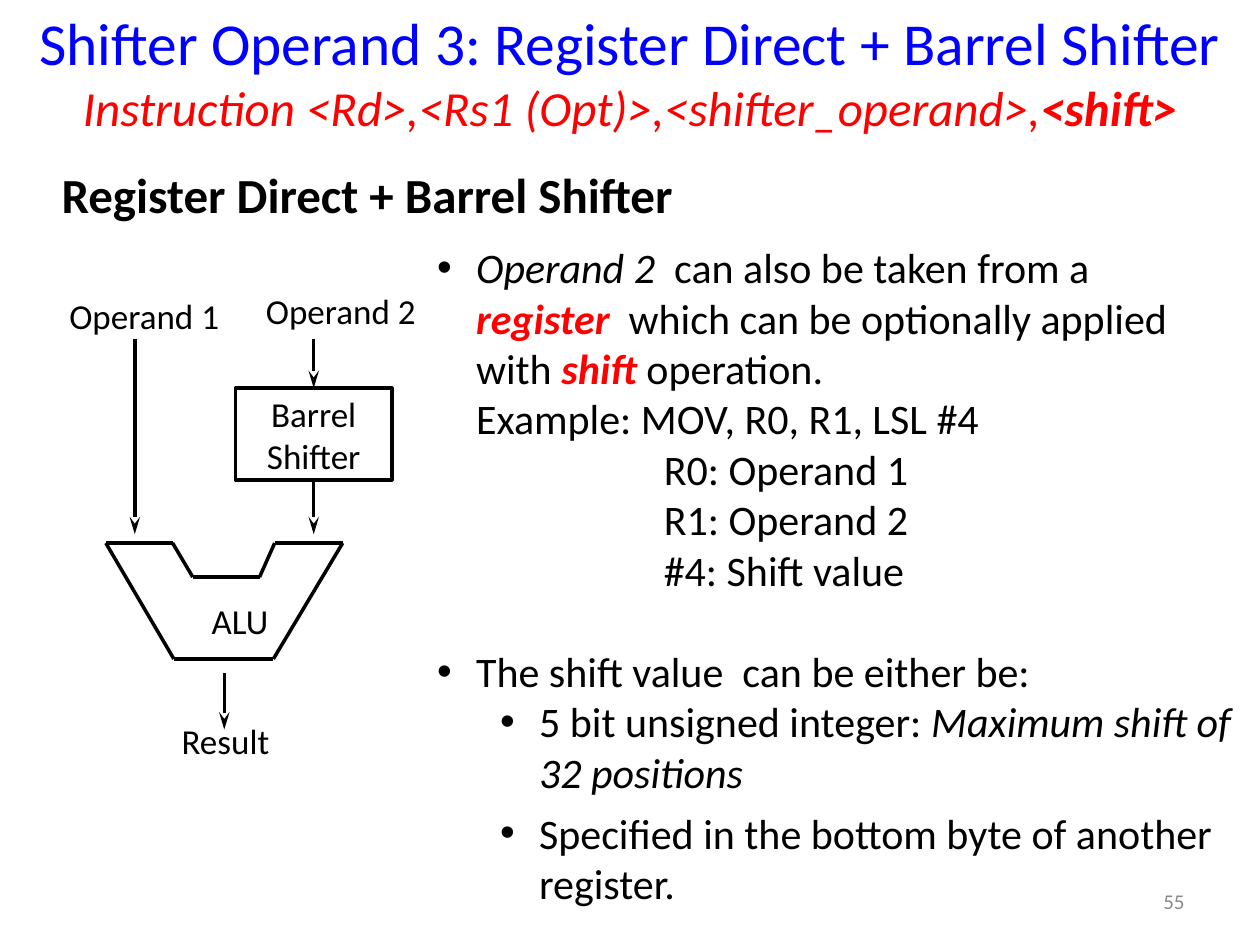
from pptx import Presentation
from pptx.dml.color import RGBColor
from pptx.enum.shapes import MSO_CONNECTOR, MSO_SHAPE
from pptx.enum.text import MSO_ANCHOR, PP_ALIGN
from pptx.oxml.ns import qn
from pptx.util import Inches, Pt
from lxml.etree import SubElement

COLORS = {"black": "000000", "red": "FF0000", "blue": "0000FF", "grey": "898989"}

# Content: a run is (text, style letters), b bold, i italic, r red
TITLE = "Shifter Operand 3: Register Direct + Barrel Shifter"
SYNTAX = [("Instruction <Rd>,<Rs1 (Opt)>,<shifter_operand>,", "ir"), ("<shift>", "bir")]
HEADING = "Register Direct + Barrel Shifter"
PAGE_NUMBER = "55"

# Levels: left margin in inches, bullet or not
LEVELS = {"point": (0.31, True), "subpoint": (0.81, True),
          "example": (0.31, False), "detail": (1.8, False)}
BULLET_HANG = 0.31
# Body: level, space before in points, runs
BODY = [
    ("point", 0, [("Operand 2  ", "i"), ("can also be taken from a ", ""),
                  ("register  ", "bir"), ("which can be optionally applied with ", ""),
                  ("shift ", "bir"), ("operation.", "")]),
    ("example", 0, [("Example: MOV, R0, R1, LSL #4", "")]),
    ("detail", 0, [("R0: Operand 1", "")]),
    ("detail", 0, [("R1: Operand 2", "")]),
    ("detail", 0, [("#4: Shift value", "")]),
    ("point", 29, [("The shift value  can be either be:", "")]),
    ("subpoint", 0, [("5 bit unsigned integer: ", ""),
                     ("Maximum shift of 32 positions", "i")]),
    ("subpoint", 6, [("Specified in the bottom byte of another register.", "")]),
]

# Diagram, in inches
LABELS = [("Operand 1", 0.28, 2.29, 1.73), ("Operand 2", 1.66, 2.25, 2.09),
          ("ALU", 1.44, 4.71, 0.93), ("Result", 1.21, 5.66, 1.16)]
SHIFTER = (1.87, 3.08, 1.24, 0.73)
ALU_CORNERS = [(0.84, 4.31), (1.37, 4.31), (1.53, 4.58), (2.06, 4.58),
               (2.18, 4.31), (2.72, 4.31), (2.17, 5.23), (1.38, 5.23)]
OPERAND_1_X, OPERAND_2_X, RESULT_X = 1.07, SHIFTER[0] + SHIFTER[2] / 2, 1.78
OPERANDS_Y, ALU_INPUT_Y = 2.69, 4.24

presentation = Presentation()
presentation.slide_width, presentation.slide_height = Inches(10), Inches(7.5)
slide = presentation.slides.add_slide(presentation.slide_layouts[6])


def color(name):
    return RGBColor.from_string(COLORS[name])


def style(paragraph, size, name="black", align=PP_ALIGN.LEFT):
    paragraph.alignment = align
    font = paragraph.font
    font.name, font.size, font.color.rgb = "Calibri", Pt(size), color(name)


def add_runs(paragraph, runs):
    for text, flags in runs:
        run = paragraph.add_run()
        run.text = text
        if "b" in flags:
            run.font.bold = True
        if "i" in flags:
            run.font.italic = True
        if "r" in flags:
            run.font.color.rgb = color("red")


def add_box(left, top, width, height):
    frame = slide.shapes.add_textbox(*map(Inches, (left, top, width, height))).text_frame
    frame.word_wrap = True
    return frame


def set_line(shape):
    shape.line.color.rgb = color("black")
    shape.line.width = Pt(2)


def add_line(start, end):
    line = slide.shapes.add_connector(MSO_CONNECTOR.STRAIGHT, *map(Inches, start + end))
    set_line(line)
    SubElement(line._element.spPr, qn("a:effectLst"))
    return line


def add_arrow(x, start_y, end_y):
    arrow = add_line((x, start_y), (x, end_y))
    SubElement(arrow._element.spPr.find(qn("a:ln")), qn("a:tailEnd"),
               type="stealth", w="med", len="lg")
    return arrow


def set_indent(paragraph, level):
    margin, bulleted = LEVELS[level]
    properties = paragraph._p.get_or_add_pPr()
    properties.set("marL", str(Inches(margin)))
    properties.set("indent", str(Inches(-BULLET_HANG if bulleted else 0)))
    if bulleted:
        SubElement(properties, qn("a:buFont"), typeface="Arial")
        SubElement(properties, qn("a:buChar"), char="•")
    else:
        SubElement(properties, qn("a:buNone"))


# Diagram labels
for text, left, top, width in LABELS:
    paragraph = add_box(left, top, width, 0.44).paragraphs[0]
    paragraph.text = text
    style(paragraph, 20, align=PP_ALIGN.CENTER)

# ALU: one line from each corner to the next
for start, end in zip(ALU_CORNERS, ALU_CORNERS[1:] + ALU_CORNERS[:1]):
    add_line(start, end)

# Barrel shifter
shifter = slide.shapes.add_shape(MSO_SHAPE.RECTANGLE, *map(Inches, SHIFTER))
shifter.shadow.inherit = False
shifter.fill.background()
set_line(shifter)
shifter.text_frame.word_wrap = True
shifter.text_frame.vertical_anchor = MSO_ANCHOR.MIDDLE
shifter.text_frame.text = "Barrel Shifter"
style(shifter.text_frame.paragraphs[0], 20, align=PP_ALIGN.CENTER)

# Data flow
add_arrow(OPERAND_1_X, OPERANDS_Y, ALU_INPUT_Y)
add_arrow(OPERAND_2_X, OPERANDS_Y, SHIFTER[1]).end_connect(shifter, 0)
add_arrow(OPERAND_2_X, SHIFTER[1] + SHIFTER[3], ALU_INPUT_Y).begin_connect(shifter, 2)
add_arrow(RESULT_X, 5.34, 5.79)

# Body text
body = add_box(3.37, 1.87, 6.51, 5.44)
for index, (level, space_before, runs) in enumerate(BODY):
    paragraph = body.add_paragraph() if index else body.paragraphs[0]
    set_indent(paragraph, level)
    if space_before:
        paragraph.space_before = Pt(space_before)
    style(paragraph, 24)
    add_runs(paragraph, runs)

# Page number
number = add_box(7.17, 6.95, 2.33, 0.4)
number.vertical_anchor = MSO_ANCHOR.MIDDLE
number.text = PAGE_NUMBER
style(number.paragraphs[0], 12, "grey", PP_ALIGN.RIGHT)

# Title and instruction syntax
title = add_box(0, 0, 10, 0.75)
title.text = TITLE
style(title.paragraphs[0], 34, "blue", PP_ALIGN.CENTER)
syntax = title.add_paragraph()
style(syntax, 28, "red", PP_ALIGN.CENTER)
add_runs(syntax, SYNTAX)

# Heading
heading = add_box(0.39, 1.26, 5.94, 0.57).paragraphs[0]
heading.text = HEADING
style(heading, 28)
heading.font.bold = True

presentation.save("out.pptx")
